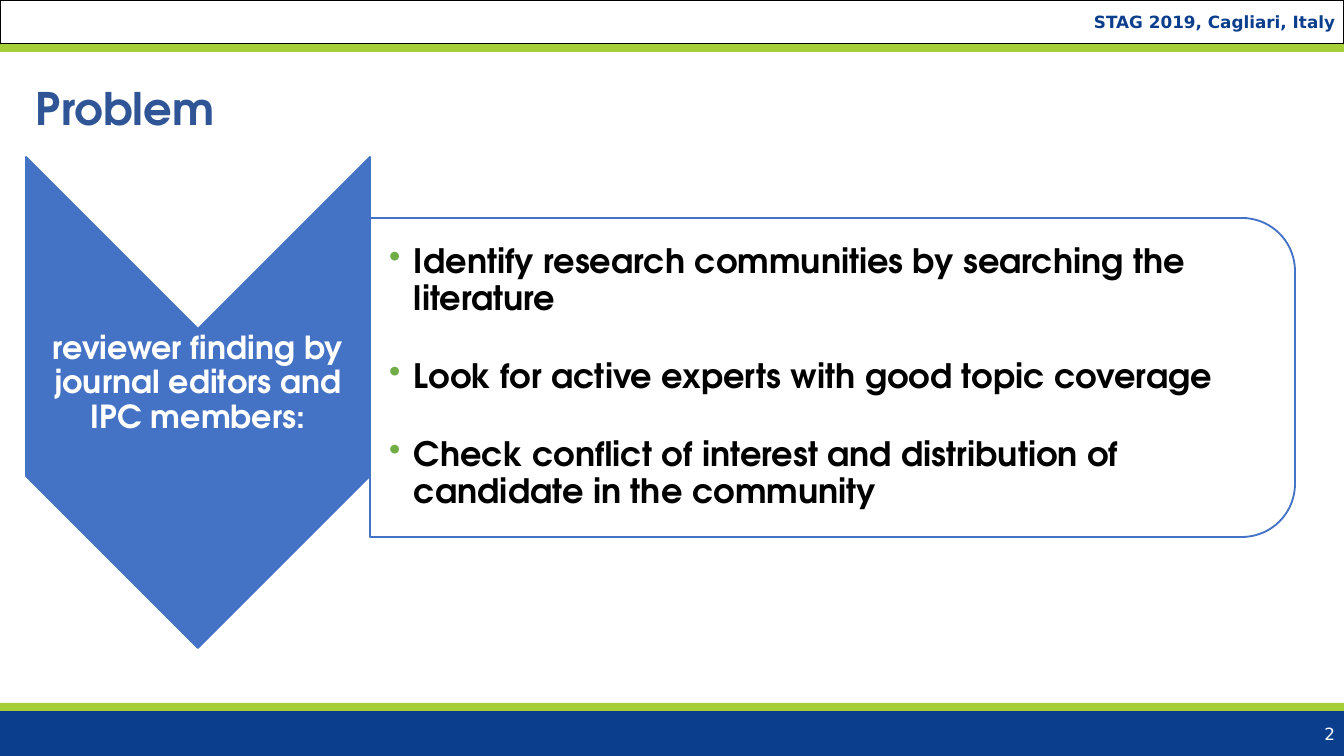
import math

from lxml import etree
from pptx import Presentation
from pptx import util as u
from pptx.dml.color import RGBColor
from pptx.enum import shapes, text
from pptx.oxml.ns import qn

EMU_PER_PX = 914400 / 134.4
WIDTH, HEIGHT = 1344, 756
HEADING_FONT, SMALL_FONT = "TeX Gyre Adventor", "DejaVu Sans"
NAVY, GREEN, BLUE, WHITE, BLACK = "0B3E8D", "A6CE39", "4472C4", "FFFFFF", "000000"
TITLE_BLUE, BULLET_GREEN = "2F5597", "70AD47"

TITLE = "Problem"
EVENT = "STAG 2019, Cagliari, Italy"
PAGE = "2"
TASK = "reviewer finding by journal editors and IPC members:"
STEPS = [
    "Identify research communities by searching the literature",
    "Look for active experts with good topic coverage",
    "Check conflict of interest and distribution of candidate in the community",
]
# top, height, fill, outline
BARS = [
    (711, 45, NAVY, None),
    (0, 44, WHITE, BLACK),
    (44, 8, GREEN, None),
    (703, 8, GREEN, None),
]
CHEVRON = (26, 157, 344, 491)  # left, top, width, height
PANEL = (370, 218, 925, 319)
CORNER = 53
SMALL_INSETS = (9, 5, 9, 5)  # left, top, right, bottom


def px(value):
    return u.Emu(round(value * EMU_PER_PX))


def rgb(value):
    return RGBColor.from_string(value)


def paint(shape, fill, line, width=1):
    shape.shadow.inherit = False
    shape.fill.solid()
    shape.fill.fore_color.rgb = rgb(fill)
    if line:
        shape.line.color.rgb = rgb(line)
        shape.line.width = u.Pt(width)
    else:
        shape.line.fill.background()


def prepare(shape, insets, anchor=text.MSO_ANCHOR.MIDDLE):
    frame = shape.text_frame
    frame.word_wrap = True
    frame.auto_size = text.MSO_AUTO_SIZE.NONE
    frame.vertical_anchor = anchor
    frame.margin_left, frame.margin_top, frame.margin_right, frame.margin_bottom = map(px, insets)
    return frame


def write(paragraph, words, size, color, font, align, bold=True):
    paragraph.alignment = align
    run = paragraph.add_run()
    run.text = words
    run.font.size = u.Pt(size)
    run.font.bold = bold
    run.font.name = font
    run.font.color.rgb = rgb(color)


def outline(slide, points):
    start, *rest = [(px(x), px(y)) for x, y in points]
    builder = slide.shapes.build_freeform(*start)
    builder.add_line_segments(rest, close=True)
    return builder.convert_to_shape()


def add_bullet(paragraph, color, indent):
    props = paragraph._p.get_or_add_pPr()
    props.set("marL", str(px(indent)))
    props.set("indent", str(-px(indent)))
    bullet_color = etree.SubElement(props, qn("a:buClr"))
    etree.SubElement(bullet_color, qn("a:srgbClr"), val=color)
    etree.SubElement(props, qn("a:buChar"), char="•")


def add_bars(slide):
    for top, height, fill, line in BARS:
        bar = slide.shapes.add_shape(
            shapes.MSO_SHAPE.RECTANGLE, 0, px(top), px(WIDTH), px(height))
        paint(bar, fill, line, 0.75)
        if line:
            frame = prepare(bar, SMALL_INSETS)
            write(frame.paragraphs[0], EVENT, 9, NAVY, SMALL_FONT, text.PP_ALIGN.RIGHT)


def add_chevron(slide):
    left, top, width, height = CHEVRON
    right, bottom, middle, slope = left + width, top + height, left + width / 2, width / 2
    chevron = outline(slide, [
        (right, top), (right, bottom - slope), (middle, bottom),
        (left, bottom - slope), (left, top), (middle, top + slope)])
    paint(chevron, BLUE, BLUE)
    frame = prepare(chevron, (1, 173, 1, 211))
    task = frame.paragraphs[0]
    task.line_spacing = 0.9
    write(task, TASK, 17, WHITE, HEADING_FONT, text.PP_ALIGN.CENTER)


def add_panel(slide):
    left, top, width, height = PANEL
    right, bottom = left + width, top + height

    def arc(center_y, first):
        return [(right - CORNER + CORNER * math.cos(math.radians(angle)),
                 center_y + CORNER * math.sin(math.radians(angle)))
                for angle in range(first, first + 91, 5)]

    panel = outline(slide, [(left, top), *arc(top + CORNER, -90),
                            *arc(bottom - CORNER, 0), (left, bottom)])
    paint(panel, WHITE, BLUE)
    fill_color = panel._element.spPr.find(qn("a:solidFill"))[0]
    etree.SubElement(fill_color, qn("a:alpha"), val="90000")
    frame = prepare(panel, (19, 17, 17, 17))
    for number, step in enumerate(STEPS):
        item = frame.add_paragraph() if number else frame.paragraphs[0]
        item.line_spacing = 0.9
        if number:
            item.space_before = u.Pt(22.5)
        add_bullet(item, BULLET_GREEN, 25)
        write(item, step, 18, BLACK, HEADING_FONT, text.PP_ALIGN.LEFT)


def main():
    deck = Presentation()
    deck.slide_width, deck.slide_height = px(WIDTH), px(HEIGHT)
    slide = deck.slides.add_slide(deck.slide_layouts[5])

    title = slide.shapes.title
    title.left, title.top, title.width, title.height = map(px, (27, 53, 1291, 109))
    frame = prepare(title, SMALL_INSETS)
    write(frame.paragraphs[0], TITLE, 24, TITLE_BLUE, HEADING_FONT, text.PP_ALIGN.LEFT)

    add_bars(slide)
    add_chevron(slide)
    add_panel(slide)

    page = slide.shapes.add_textbox(px(1064), px(719), px(280), px(26))
    frame = prepare(page, SMALL_INSETS, text.MSO_ANCHOR.TOP)
    write(frame.paragraphs[0], PAGE, 9, WHITE, SMALL_FONT, text.PP_ALIGN.RIGHT, bold=False)

    deck.save("out.pptx")


if __name__ == "__main__":
    main()
